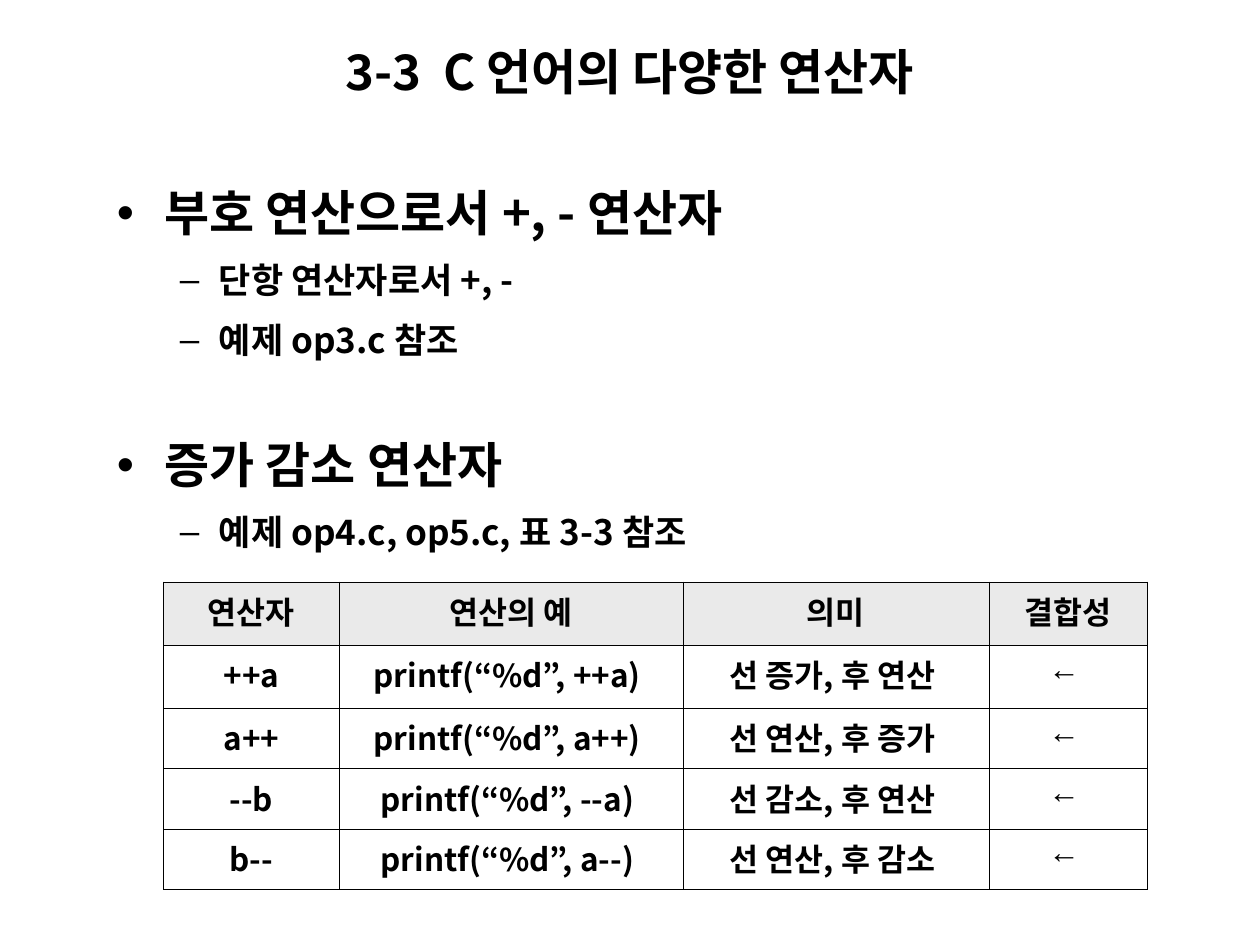
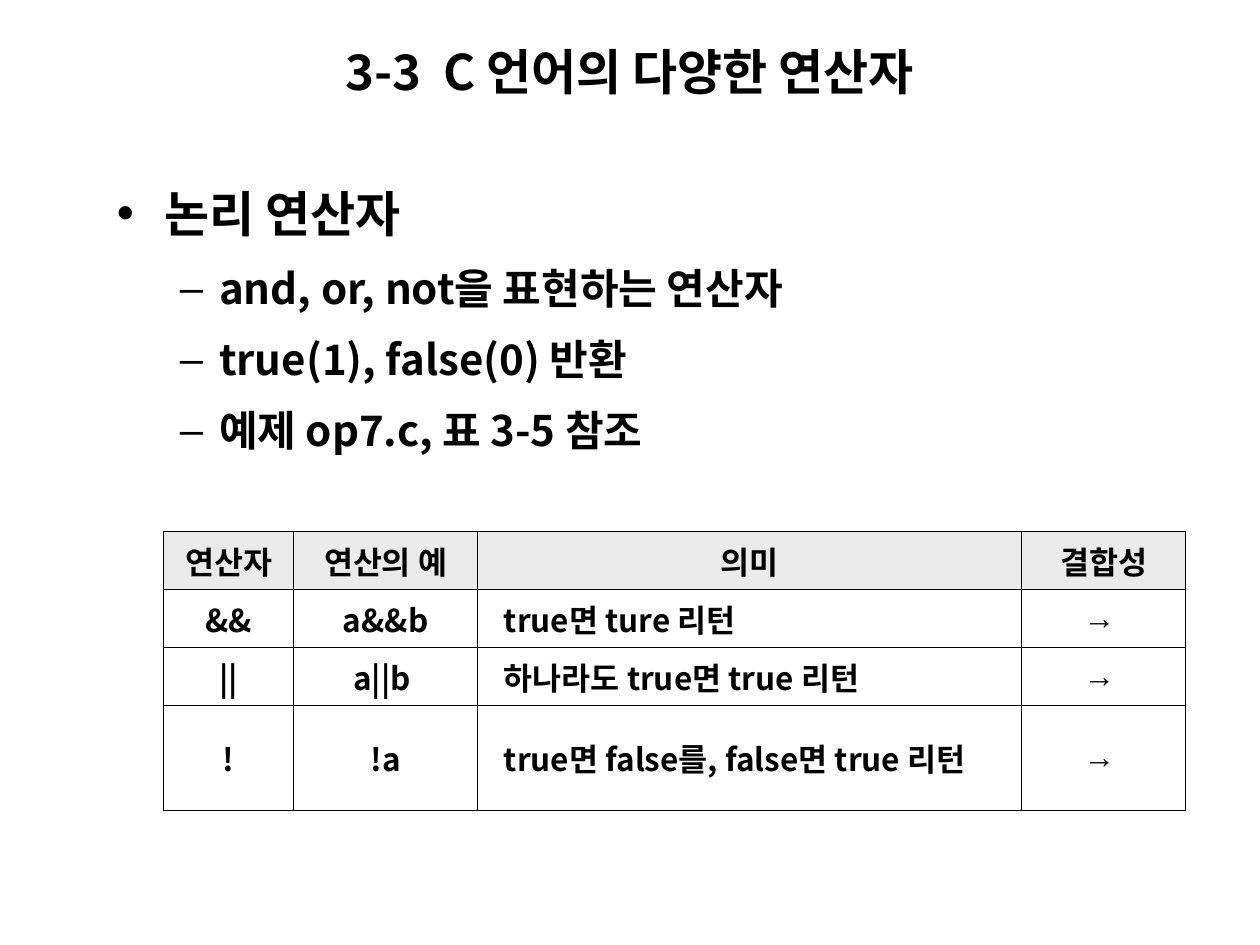
"""Build two slides on the operators of the C language."""
from lxml import etree
from pptx import Presentation
from pptx.dml.color import RGBColor
from pptx.enum.text import MSO_ANCHOR, MSO_AUTO_SIZE, PP_ALIGN
from pptx.oxml.ns import qn
from pptx.util import Inches, Pt

BLACK = RGBColor(0x00, 0x00, 0x00)
GREY = RGBColor(0xEA, 0xEA, 0xEA)
LEFT, MID = PP_ALIGN.LEFT, PP_ALIGN.CENTER
TOP, CENTRE = MSO_ANCHOR.TOP, MSO_ANCHOR.MIDDLE
FIXED = MSO_AUTO_SIZE.NONE
FONT, SIGN = "Noto Sans CJK KR", "Arial"
TITLE = "3-3  C 언어의 다양한 연산자"
HEADS = ["연산자", "연산의 예", "의미", "결합성"]
THIN, THICK = Pt(0.45), Pt(0.75)

deck = Presentation()
deck.slide_width, deck.slide_height = Inches(10), Inches(7.5)
UNIT = deck.slide_width / 100


def grid(*cells):
    """Turn counts of grid units, 100 to the slide's width, into lengths."""
    return [round(n * UNIT) for n in cells]


def write(para, text, size, face=FONT):
    """Add one bold black run, with the same face for all scripts."""
    run = para.add_run()
    run.text = text
    font = run.font
    font.size, font.bold, font.name = Pt(size), True, face
    font.color.rgb = BLACK
    etree.SubElement(run._r.get_or_add_rPr(), qn("a:ea"), typeface=face)


LEVELS = [
    {"mark": "•", "left": 3.8, "hang": -3.8},
    {"mark": "–", "left": 8.1, "hang": -3.1},
]

PAGES = [
    {
        "body": (8.3, 13.1, 85, 31.3),
        "points": [
            (0, 28, 7, "부호 연산으로서 +, - 연산자"),
            (1, 20, 5, "단항 연산자로서 +, -"),
            (1, 20, 5, "예제 op3.c 참조"),
            (0, 28, 36, "증가 감소 연산자"),
            (1, 20, 5, "예제 op4.c, op5.c, 표 3-3 참조"),
        ],
        "top": 46.2,
        "cols": (13.9, 27.3, 24.3, 12.6),
        "rows": (5, 5, 4.8, 4.8, 4.8),
        "anchor": TOP,
        "sense": MID,
        "cells": [
            ["++a", "printf(“%d”, ++a) ", "선 증가, 후 연산 ", "← "],
            ["a++", "printf(“%d”, a++) ", "선 연산, 후 증가 ", "← "],
            ["--b", "printf(“%d”, --a) ", "선 감소, 후 연산 ", "← "],
            ["b--", "printf(“%d”, a--) ", "선 연산, 후 감소 ", "← "],
        ],
    },
    {
        "body": (8.3, 13.1, 62.2, 23.5),
        "points": [
            (0, 28, 7, "논리 연산자"),
            (1, 24, 6, "and, or, not을 표현하는 연산자"),
            (1, 24, 6, "true(1), false(0) 반환"),
            (1, 24, 6, "예제 op7.c, 표 3-5 참조"),
        ],
        "top": 42.2,
        "cols": (10.3, 14.6, 43.2, 13),
        "rows": (4.6, 4.6, 4.6, 8.3),
        "anchor": CENTRE,
        "sense": LEFT,
        "cells": [
            ["&&", "a&&b", "true면 ture 리턴", "→ "],
            ["||", "a||b ", "하나라도 true면 true 리턴", "→ "],
            ["!", "!a", "true면 false를, false면 true 리턴", "→ "],
        ],
    },
]

for page in PAGES:
    slide = deck.slides.add_slide(deck.slide_layouts[5])

    title = slide.shapes.title
    title.left, title.top, title.width, title.height = grid(26.4, 2.8, 55.1, 5.7)
    frame = title.text_frame
    frame.auto_size, frame.vertical_anchor = FIXED, CENTRE
    frame.paragraphs[0].alignment = LEFT
    write(frame.paragraphs[0], TITLE, 28)

    frame = slide.shapes.add_textbox(*grid(*page["body"])).text_frame
    frame.word_wrap = True
    for n, (level, size, space, text) in enumerate(page["points"]):
        para = frame.add_paragraph() if n else frame.paragraphs[0]
        para.level, para.line_spacing, para.space_before = level, 1.2, Pt(space)
        style = LEVELS[level]
        left, hang = grid(style["left"], style["hang"])
        props = para._p.get_or_add_pPr()
        props.set("marL", str(left))
        props.set("indent", str(hang))
        tint = etree.SubElement(props, qn("a:buClr"))
        etree.SubElement(tint, qn("a:srgbClr"), val=str(BLACK))
        etree.SubElement(props, qn("a:buFont"), typeface=SIGN)
        etree.SubElement(props, qn("a:buChar"), char=style["mark"])
        write(para, text, size)

    lines = [HEADS] + page["cells"]
    cols, rows = grid(*page["cols"]), grid(*page["rows"])
    place = grid(13, page["top"]) + [sum(cols), sum(rows)]
    table = slide.shapes.add_table(len(rows), len(cols), *place).table
    table.first_row = table.horz_banding = False
    for col, width in zip(table.columns, cols):
        col.width = width
    for row, height in zip(table.rows, rows):
        row.height = height

    for r, line in enumerate(lines):
        for c, text in enumerate(line):
            cell = table.cell(r, c)
            cell.vertical_anchor = page["anchor"]
            para = cell.text_frame.paragraphs[0]
            para.space_before = Pt(4.5)
            para.alignment = page["sense"] if r and c == 2 else MID
            if para.alignment == LEFT:
                para._p.get_or_add_pPr().set("indent", str(grid(1.1)[0]))
            write(para, text, 18, SIGN if r and c == 3 else FONT)

            props = cell._tc.get_or_add_tcPr()
            edges = {
                "a:lnL": c == 0,
                "a:lnR": c == len(cols) - 1,
                "a:lnT": r == 0,
                "a:lnB": r == len(rows) - 1,
            }
            for tag, outer in edges.items():
                edge = etree.SubElement(props, qn(tag), w=str(THICK if outer else THIN))
                fill = etree.SubElement(edge, qn("a:solidFill"))
                etree.SubElement(fill, qn("a:srgbClr"), val=str(BLACK))
            if r:
                cell.fill.background()
            else:
                cell.fill.solid()
                cell.fill.fore_color.rgb = GREY

deck.save("out.pptx")
